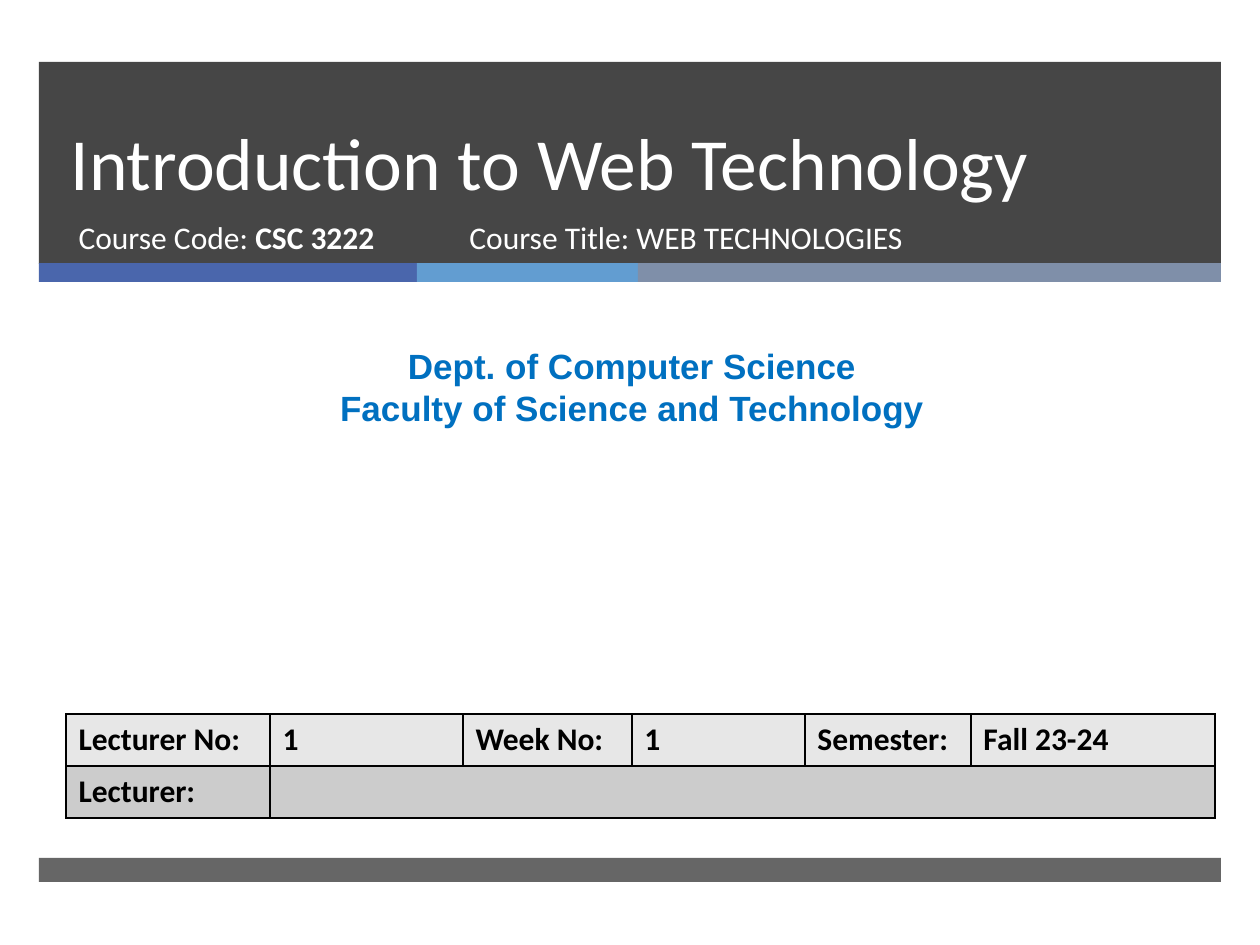
import pptx
import pptx.util
import pptx.dml.color
import pptx.enum.shapes
import pptx.enum.text
import pptx.oxml
import pptx.oxml.ns
from lxml import etree

PX = 914400 / 126
COLORS = {"dark": "262626", "blue": "4A66AC", "sky": "629DD1", "slate": "7F8FA9",
          "white": "FFFFFF", "dept": "0070C0", "black": "000000",
          "row1": "E7E7E7", "row2": "CCCCCC"}
ALIGN = pptx.enum.text.PP_ALIGN


def box(*lengths):
    return [pptx.util.Emu(round(n * PX)) for n in lengths]


def add_run(p, text, size, color, bold=False, font="Calibri"):
    r = p.add_run()
    r.text = text
    r.font.name, r.font.size, r.font.bold = font, pptx.util.Pt(size), bold
    r.font.color.rgb = pptx.dml.color.RGBColor.from_string(COLORS[color])


prs = pptx.Presentation()
prs.slide_width, prs.slide_height = box(1260, 945)
s = prs.slides.add_slide(prs.slide_layouts[0])

# Header band, colour strip and footer band: left, top, width, height, colour, opacity
bands = [(39, 62, 1182, 202, "dark", 85),
         (39, 263, 378, 19, "blue", 100),
         (417, 263, 221, 19, "sky", 100),
         (638, 263, 583, 19, "slate", 100),
         (39, 858, 1182, 24, "dark", 70)]
for *place, color, opacity in bands:
    sp = s.shapes.add_shape(pptx.enum.shapes.MSO_SHAPE.RECTANGLE, *box(*place))
    sp.shadow.inherit = False
    sp.line.fill.background()
    sp.fill.solid()
    sp.fill.fore_color.rgb = pptx.dml.color.RGBColor.from_string(COLORS[color])
    if opacity < 100:
        clr = sp._element.spPr.find(".//" + pptx.oxml.ns.qn("a:srgbClr"))
        etree.SubElement(clr, pptx.oxml.ns.qn("a:alpha"), val=str(opacity * 1000))

# Title and course code, brought in front of the bands
title, code = s.shapes.title, s.placeholders[1]
for sp, place, anchor in [(title, (58, 62, 1076, 150), pptx.enum.text.MSO_ANCHOR.BOTTOM),
                          (code, (66, 212, 384, 67), pptx.enum.text.MSO_ANCHOR.TOP)]:
    sp._element.getparent().append(sp._element)
    sp.left, sp.top, sp.width, sp.height = box(*place)
    tf = sp.text_frame
    tf.word_wrap = True
    tf.auto_size = pptx.enum.text.MSO_AUTO_SIZE.NONE
    tf.vertical_anchor = anchor
    tf.paragraphs[0].alignment = ALIGN.LEFT
    tf.paragraphs[0].space_before = pptx.util.Pt(0)
p = title.text_frame.paragraphs[0]
p.line_spacing = pptx.util.Pt(46)
add_run(p, "Introduction to Web Technology", 42, "white")
p = code.text_frame.paragraphs[0]
add_run(p, "Course Code: ", 18, "white")
add_run(p, "CSC 3222", 18, "white", True)

# Department
tf = s.shapes.add_textbox(*box(10, 338, 1244, 97)).text_frame
tf.word_wrap = True
for i, text in enumerate(["Dept. of Computer Science", "Faculty of Science and Technology"]):
    p = tf.add_paragraph() if i else tf.paragraphs[0]
    p.alignment = ALIGN.CENTER
    add_run(p, text, 20, "dept", True, "Arial")

# Lecture table
rows = [["Lecturer No:", "1", "Week No:", "1", "Semester:", "Fall 23-24"],
        ["Lecturer:", "", "", "", "", ""]]
widths = [204, 193, 169, 173, 166, 244]
table = s.shapes.add_table(2, 6, *box(66, 714, sum(widths), 104)).table
for col, width in zip(table.columns, box(*widths)):
    col.width = width
for i, (row, fill) in enumerate(zip(rows, ["row1", "row2"])):
    table.rows[i].height = box(52)[0]
    for j, text in enumerate(row):
        cell = table.cell(i, j)
        tcPr = cell._tc.get_or_add_tcPr()
        for side in ("lnL", "lnR", "lnT", "lnB"):
            tcPr.append(pptx.oxml.parse_xml(
                f'<a:{side} {pptx.oxml.ns.nsdecls("a")} w="12700"><a:solidFill>'
                f'<a:srgbClr val="{COLORS["black"]}"/></a:solidFill></a:{side}>'))
        cell.fill.solid()
        cell.fill.fore_color.rgb = pptx.dml.color.RGBColor.from_string(COLORS[fill])
        if text:
            add_run(cell.text_frame.paragraphs[0], text, 18, "black", True)
table.cell(1, 1).merge(table.cell(1, 5))

# Course title
tf = s.shapes.add_textbox(*box(457, 212, 573, 67)).text_frame
tf.word_wrap = True
add_run(tf.paragraphs[0], "Course Title: WEB TECHNOLOGIES", 18, "white")

prs.save("out.pptx")
